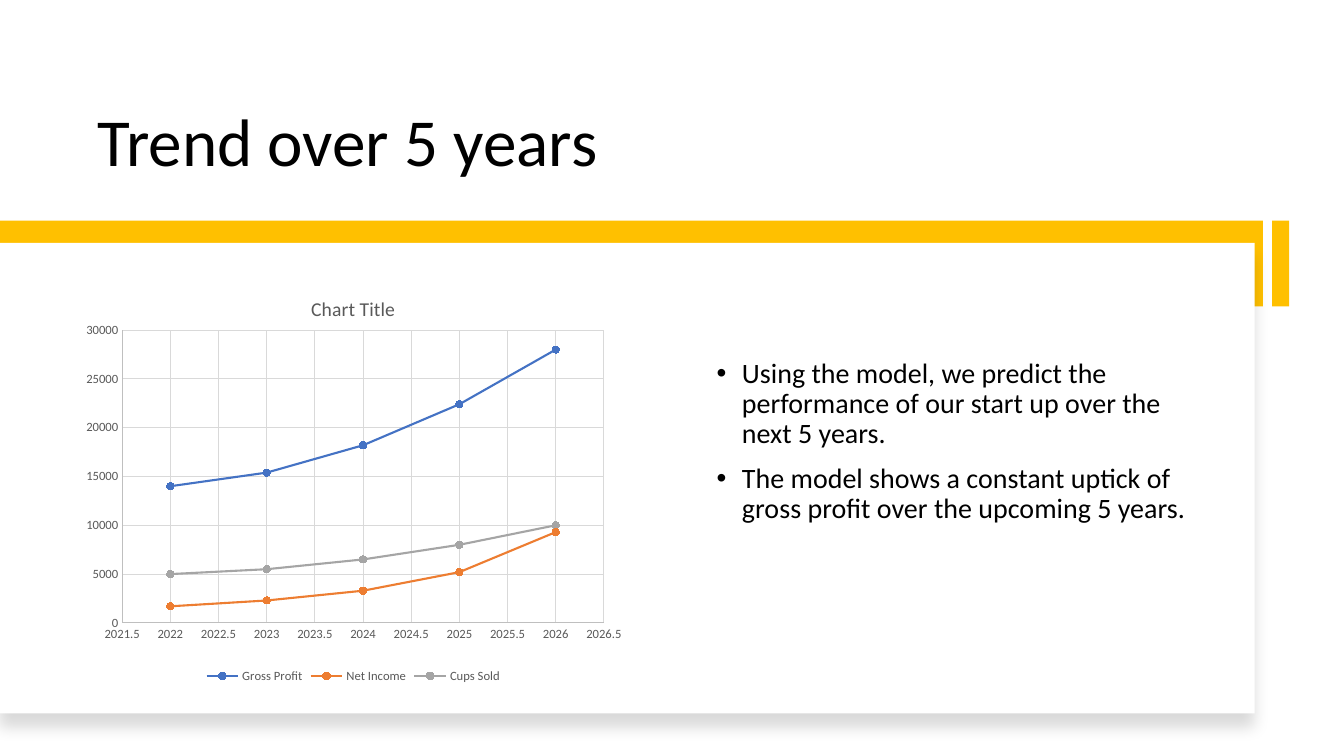
import pptx
import pptx.chart.data
import pptx.dml.color
import pptx.enum.chart
import pptx.enum.shapes
import pptx.enum.text
import pptx.oxml
import pptx.oxml.ns
import pptx.util

Cm, Pt = pptx.util.Cm, pptx.util.Pt
NS = pptx.oxml.ns.nsdecls("a", "c")
FONT = "Calibri"
GOLD, WHITE, BLACK, GREY = "FFC000", "FFFFFF", "000000", "595959"
YEARS = range(2022, 2027)
SERIES = [
    ("Gross Profit", "4472C4", [14000, 15400, 18200, 22400, 28000]),
    ("Net Income", "ED7D31", [1700, 2300, 3300, 5200, 9300]),
    ("Cups Sold", "A5A5A5", [5000, 5500, 6500, 8000, 10000]),
]
POINTS = [
    "Using the model, we predict the performance of our start up over the next 5 years.",
    "The model shows a constant uptick of gross profit over the upcoming 5 years.",
]


def rgb(value):
    """Turn a hex string into a colour."""
    return pptx.dml.color.RGBColor.from_string(value)


def apply(target, values):
    """Set each attribute named in a dict of format values."""
    for name, value in values.items():
        setattr(target, name, value)


def style_font(font, size, color):
    """Give a font its face, size and colour."""
    apply(font, {"name": FONT, "size": Pt(size), "bold": False})
    font.color.rgb = rgb(color)


def style_line(line, color, width):
    """Give a line its colour and width."""
    line.color.rgb = rgb(color)
    line.width = Pt(width)


def add_box(s, box, color):
    """Draw a plain rectangle without outline."""
    sp = s.shapes.add_shape(pptx.enum.shapes.MSO_SHAPE.RECTANGLE, *map(Cm, box))
    sp.shadow.inherit = False
    sp.fill.solid()
    sp.fill.fore_color.rgb = rgb(color)
    sp.line.fill.background()
    return sp


def add_shadow(sp):
    """Cast a soft shadow below a shape."""
    effects = sp._element.spPr.find(pptx.oxml.ns.qn("a:effectLst"))
    effects.append(pptx.oxml.parse_xml(
        f'<a:outerShdw {NS} blurRad="{Pt(11)}" dist="{Pt(10)}" dir="5400000" algn="t" '
        'rotWithShape="0"><a:srgbClr val="000000"><a:alpha val="15000"/></a:srgbClr>'
        '</a:outerShdw>'))


def add_bullet(p):
    """Hang a paragraph behind a round bullet."""
    pPr = p._p.get_or_add_pPr()
    pPr.set("marL", str(Cm(0.64)))
    pPr.set("indent", str(-Cm(0.64)))
    pPr.append(pptx.oxml.parse_xml(f'<a:buFont {NS} typeface="Arial"/>'))
    pPr.append(pptx.oxml.parse_xml(f'<a:buChar {NS} char="•"/>'))


def add_text(s, box, lines, size, anchor, space=0, bullets=False):
    """Write paragraphs in a wrapping text box."""
    tf = s.shapes.add_textbox(*map(Cm, box)).text_frame
    apply(tf, {"word_wrap": True, "vertical_anchor": anchor})
    for i, line in enumerate(lines):
        p = tf.add_paragraph() if i else tf.paragraphs[0]
        apply(p, {"line_spacing": 0.9, "space_before": Pt(space)})
        r = p.add_run()
        r.text = line
        style_font(r.font, size, BLACK)
        if bullets:
            add_bullet(p)


def style_axis(axis, low, high, step):
    """Scale an axis and give it grey lines and labels."""
    none = pptx.enum.chart.XL_TICK_MARK.NONE
    apply(axis, {"minimum_scale": low, "maximum_scale": high, "major_unit": step,
                 "major_tick_mark": none, "minor_tick_mark": none,
                 "has_major_gridlines": True})
    apply(axis.tick_labels, {"number_format": "General", "number_format_is_linked": False})
    style_font(axis.tick_labels.font, 9, GREY)
    style_line(axis.format.line, "BFBFBF", 0.75)
    style_line(axis.major_gridlines.format.line, "D9D9D9", 0.75)


def style_series(series, color):
    """Colour a straight line and its round markers."""
    series.smooth = False
    style_line(series.format.line, color, 1.5)
    apply(series.marker, {"style": pptx.enum.chart.XL_MARKER_STYLE.CIRCLE, "size": 5})
    series.marker.format.fill.solid()
    series.marker.format.fill.fore_color.rgb = rgb(color)
    style_line(series.marker.format.line, color, 0.75)


def place_plot(chart, **fractions):
    """Fix the inner plot area as fractions of the chart."""
    area = chart._chartSpace.chart.plotArea
    for old in area.findall(pptx.oxml.ns.qn("c:layout")):
        area.remove(old)
    sizes = "".join(f'<c:{k} val="{v}"/>' for k, v in fractions.items())
    area.insert(0, pptx.oxml.parse_xml(
        f'<c:layout {NS}><c:manualLayout><c:layoutTarget val="inner"/>'
        f'<c:xMode val="edge"/><c:yMode val="edge"/>{sizes}</c:manualLayout></c:layout>'))


def add_trend(s, box):
    """Chart the yearly series as lines with markers."""
    data = pptx.chart.data.XyChartData()
    for name, _, values in SERIES:
        series = data.add_series(name)
        for year, value in zip(YEARS, values):
            series.add_data_point(year, value)
    kind = pptx.enum.chart.XL_CHART_TYPE.XY_SCATTER_LINES
    chart = s.shapes.add_chart(kind, *map(Cm, box), data).chart
    style_font(chart.font, 10, BLACK)
    chart.plots[0].vary_by_categories = False
    for series, (_, color, _) in zip(chart.plots[0].series, SERIES):
        style_series(series, color)
    style_axis(chart.category_axis, 2021.5, 2026.5, 0.5)
    style_axis(chart.value_axis, 0, 30000, 5000)
    apply(chart, {"has_title": True, "has_legend": True})
    r = chart.chart_title.text_frame.paragraphs[0].add_run()
    r.text = "Chart Title"
    style_font(r.font, 14, GREY)
    apply(chart.legend, {"position": pptx.enum.chart.XL_LEGEND_POSITION.BOTTOM,
                         "include_in_layout": False})
    style_font(chart.legend.font, 9, GREY)
    place_plot(chart, x=0.093, y=0.127, w=0.849, h=0.716)


def main():
    """Build the trend slide and save it."""
    prs = pptx.Presentation()
    apply(prs, {"slide_width": Cm(33.87), "slide_height": Cm(19.05)})
    s = prs.slides.add_slide(prs.slide_layouts[6])
    anchors = pptx.enum.text.MSO_ANCHOR
    add_text(s, (2.21, 1.07, 28.17, 3.61), ["Trend over 5 years"], 48, anchors.BOTTOM)
    add_box(s, (0, 5.56, 31.83, 2.16), GOLD)
    add_shadow(add_box(s, (0, 6.12, 31.62, 11.86), WHITE))
    add_text(s, (17.81, 7.21, 12.6, 7.85), POINTS, 20, anchors.MIDDLE, 10, True)
    add_box(s, (32.06, 5.56, 0.43, 2.16), GOLD)
    add_trend(s, (1.75, 7.01, 14.3, 10.31))
    prs.save("out.pptx")


if __name__ == "__main__":
    main()
